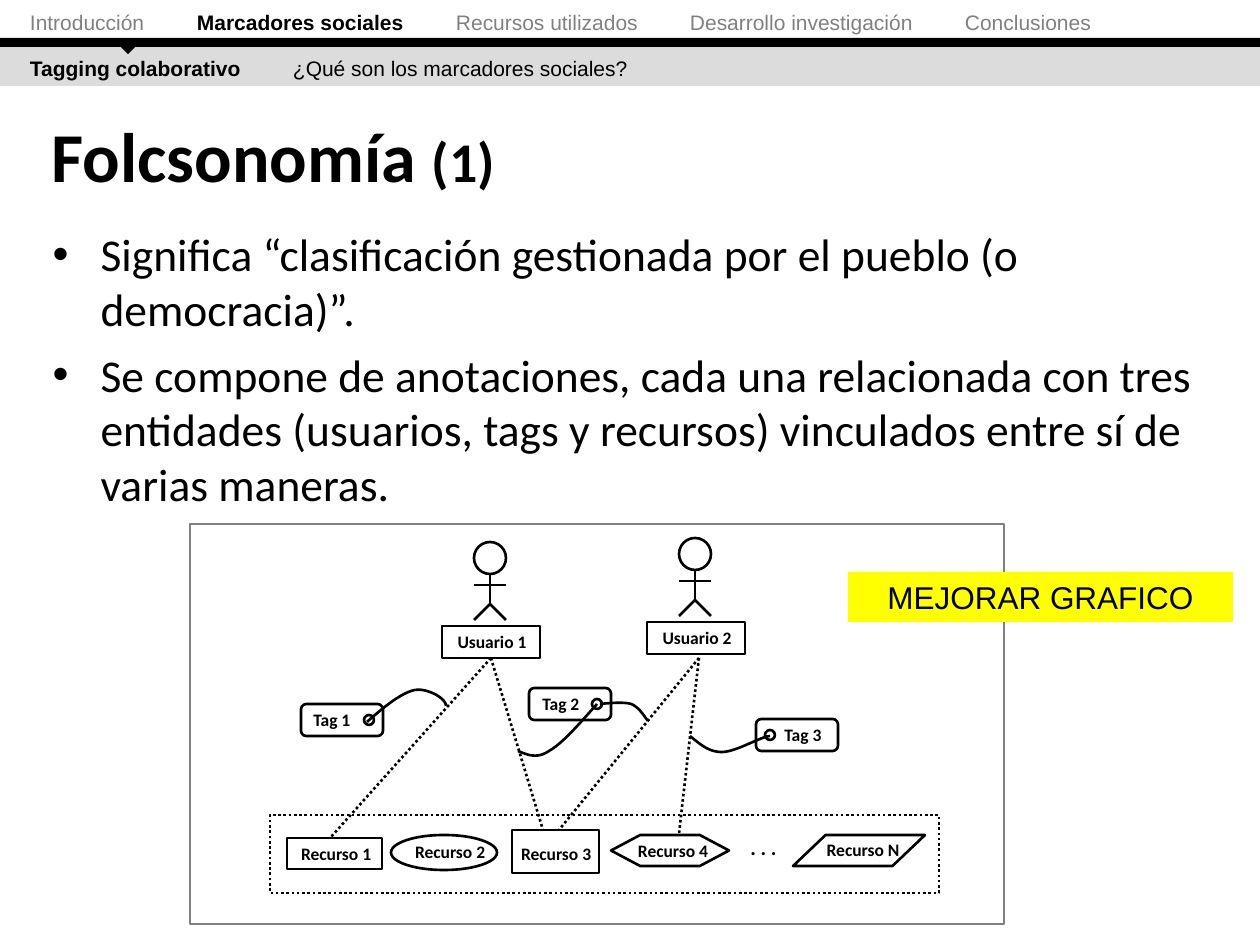
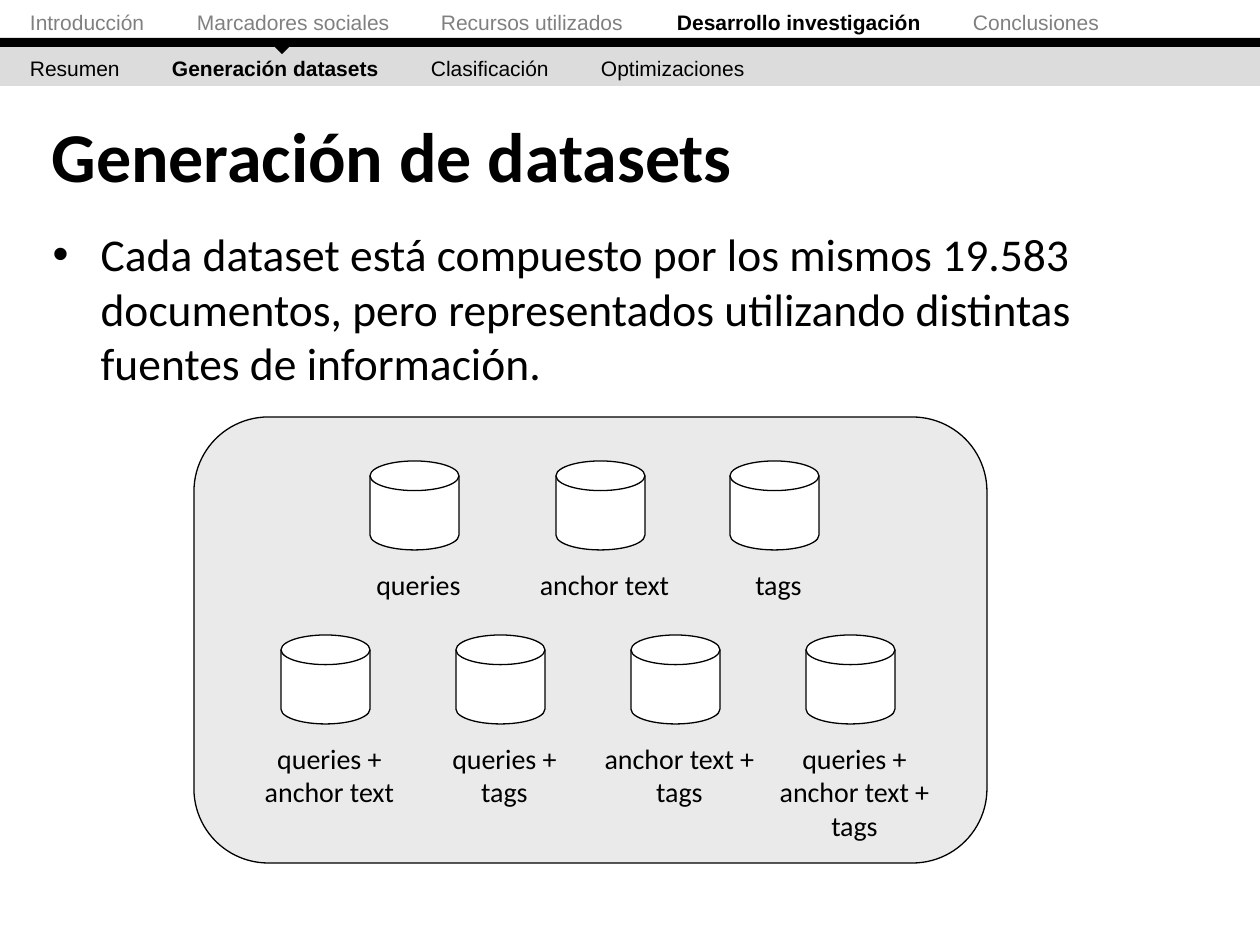
from dataclasses import dataclass
from typing import NamedTuple

from lxml import etree
from pptx import Presentation
from pptx import util as u
from pptx.dml.color import RGBColor
from pptx.enum import dml, shapes, text
from pptx.oxml import ns

# Shared look
SCALE = 914400 / 126  # EMU in one px
BLACK = RGBColor(0x00, 0x00, 0x00)
WHITE = RGBColor(0xFF, 0xFF, 0xFF)
GREY = RGBColor(0x80, 0x80, 0x80)
BAND = RGBColor(0xDC, 0xDC, 0xDC)
PANEL = RGBColor(0xEA, 0xEA, 0xEA)
YELLOW = RGBColor(0xFF, 0xFF, 0x00)

NAV = dict(name="Arial", size=u.Pt(12))
TITLE = dict(name="Calibri", size=u.Pt(40), bold=True)
TITLE_NUMBER = dict(TITLE, size=u.Pt(32))
BODY = dict(name="Calibri", size=u.Pt(26))
LABEL = dict(name="Calibri", size=u.Pt(10), bold=True)
DOTS = dict(LABEL, size=u.Pt(12))
DATASET = dict(name="Calibri", size=u.Pt(16))
NOTE = dict(name="Arial", size=u.Pt(18))

PRESET = shapes.MSO_SHAPE
LEFT, CENTER = text.PP_ALIGN.LEFT, text.PP_ALIGN.CENTER
DOTTED = dml.MSO_LINE.ROUND_DOT
NAV_LEFT = 30
SECTIONS = ["Introducción", "Marcadores sociales", "Recursos utilizados",
            "Desarrollo investigación", "Conclusiones"]


class Box(NamedTuple):
    left: int
    top: int
    width: int
    height: int


class Point(NamedTuple):
    x: float
    y: float


@dataclass
class Menu:
    items: list[str]
    active: str
    starts: list[int]  # left edge of each item after the first


@dataclass
class Resource:
    name: str
    preset: PRESET
    box: Box
    label: Point
    adjust: float | None = None


@dataclass
class Tag:
    name: str
    corner: Point
    hole_dx: int
    label_dx: int


def px(length: float) -> u.Emu:
    return u.Emu(round(length * SCALE))


def emu(lengths) -> list[u.Emu]:
    return [px(length) for length in lengths]


# Basic drawing
def format_font(font, style: dict, color: RGBColor = BLACK) -> None:
    for name, value in style.items():
        setattr(font, name, value)
    font.color.rgb = color


def add_span(para, words: str, style: dict, color: RGBColor = BLACK) -> None:
    span = para.add_run()
    span.text = words
    format_font(span.font, style, color)


def stroke(line, width: float, color: RGBColor = BLACK, dash=None) -> None:
    line.color.rgb = color
    line.width = u.Pt(width)
    if dash:
        line.dash_style = dash


def add_figure(page, preset, box: Box, fill=WHITE, width=1.5, color=BLACK, dash=None, adjust=None):
    figure = page.shapes.add_shape(preset, *emu(box))
    figure.shadow.inherit = False
    if fill is None:
        figure.fill.background()
    else:
        figure.fill.solid()
        figure.fill.fore_color.rgb = fill
    if width:
        stroke(figure.line, width, color, dash)
    else:
        figure.line.fill.background()
    if adjust is not None:
        figure.adjustments[0] = adjust
    return figure


def add_label(page, words: str, box: Box, style: dict, align=CENTER) -> None:
    frame = page.shapes.add_textbox(*emu(box)).text_frame
    frame.word_wrap = True
    frame.text = words
    para = frame.paragraphs[0]
    para.alignment = align
    for span in para.runs:
        format_font(span.font, style)


def add_line(page, start: Point, end: Point, dash=None):
    line = page.shapes.add_connector(shapes.MSO_CONNECTOR.STRAIGHT, *emu(start + end))
    stroke(line.line, 1.5, dash=dash)
    etree.SubElement(line._element.spPr, ns.qn("a:effectLst"))
    return line


def bezier(a: Point, b: Point, c: Point, d: Point, steps: int = 12) -> list[Point]:
    points = []
    for step in range(1, steps + 1):
        t = step / steps
        weights = (1 - t) ** 3, 3 * t * (1 - t) ** 2, 3 * t * t * (1 - t), t ** 3
        points.append(Point(*(sum(w * v for w, v in zip(weights, axis))
                              for axis in zip(a, b, c, d))))
    return points


def add_curve(page, nodes: list[Point]) -> None:
    """Draw cubic pieces: a start, then two handles and an end for each piece."""
    builder = page.shapes.build_freeform(*emu(nodes[0]))
    for first in range(0, len(nodes) - 1, 3):
        piece = bezier(*nodes[first:first + 4])
        builder.add_line_segments([emu(point) for point in piece], close=False)
    curve = builder.convert_to_shape()
    curve.shadow.inherit = False
    curve.fill.background()
    stroke(curve.line, 1.5)


# Page frame: menus, title and list
def add_menu(page, menu: Menu, top: int, idle: RGBColor) -> None:
    frame = page.shapes.add_textbox(*emu(Box(NAV_LEFT, top, 1200, 38))).text_frame
    frame.word_wrap = True
    frame.margin_left = 0
    para = frame.paragraphs[0]
    stops = etree.SubElement(para._p.get_or_add_pPr(), ns.qn("a:tabLst"))
    for start in menu.starts:
        etree.SubElement(stops, ns.qn("a:tab"), pos=str(px(start - NAV_LEFT)), algn="l")
    for index, item in enumerate(menu.items):
        active = item == menu.active
        add_span(para, "\t" * (index > 0) + item, dict(NAV, bold=active),
                 BLACK if active else idle)


def place(holder, box: Box, anchor):
    for name, value in zip(("left", "top", "width", "height"), emu(box)):
        setattr(holder, name, value)
    frame = holder.text_frame
    frame.auto_size = text.MSO_AUTO_SIZE.NONE
    frame.vertical_anchor = anchor
    return frame


def add_page(deck, sections: Menu, topics: Menu, pointer: int,
             title: list[tuple[str, dict]], bullets: list[str]):
    page = deck.slides.add_slide(deck.slide_layouts[1])
    add_figure(page, PRESET.RECTANGLE, Box(0, 47, 1260, 39), BAND, width=0)
    add_figure(page, PRESET.RECTANGLE, Box(0, 38, 1260, 9), BLACK, width=0)
    add_menu(page, sections, 3, GREY)
    add_menu(page, topics, 49, BLACK)
    marker = add_figure(page, PRESET.RIGHT_TRIANGLE, Box(pointer, 30, 20, 20), BLACK, width=0)
    marker.rotation = 315

    frame = place(page.shapes.title, Box(39, 108, 1211, 93), text.MSO_ANCHOR.MIDDLE)
    para = frame.paragraphs[0]
    para.alignment = LEFT
    for words, style in title:
        add_span(para, words, style)

    frame = place(page.placeholders[1], Box(40, 220, 1181, 714), text.MSO_ANCHOR.TOP)
    for index, words in enumerate(bullets):
        para = frame.add_paragraph() if index else frame.paragraphs[0]
        para.space_before = u.Pt(6.5 if index else 0)
        props = para._p.get_or_add_pPr()
        props.set("marL", str(px(48)))
        props.set("indent", str(px(-48)))
        etree.SubElement(props, ns.qn("a:buChar"), char="•")
        add_span(para, words, BODY)
    return page


# Folksonomy diagram
RESOURCES = [
    Resource("Recurso N", PRESET.PARALLELOGRAM, Box(793, 835, 132, 31), Point(810, 833), 1.05),
    Resource("Recurso 1", PRESET.RECTANGLE, Box(287, 838, 95, 31), Point(283, 837)),
    Resource("Recurso 3", PRESET.RECTANGLE, Box(512, 830, 87, 43), Point(503, 837)),
    Resource("Recurso 4", PRESET.HEXAGON, Box(611, 835, 118, 31), Point(620, 834), 0.94),
    Resource("Recurso 2", PRESET.OVAL, Box(391, 835, 106, 35), Point(397, 835)),
]
TAGS = [Tag("Tag 1", Point(301, 704), 63, 0), Tag("Tag 2", Point(529, 688), 63, 1),
        Tag("Tag 3", Point(756, 719), 9, 16)]
TAG_CURVES = [
    [(367, 722), (384, 707), (401, 693), (415, 690), (427, 688), (446, 698), (446, 706)],
    [(597, 704), (580, 723), (563, 743), (549, 751), (537, 759), (528, 755), (518, 751)],
    [(600, 704), (611, 703), (624, 702), (631, 704), (639, 707), (644, 716), (648, 721)],
    [(690, 736), (701, 745), (709, 752), (722, 752), (736, 752), (762, 736), (770, 736)],
]


def add_user(page, name: str, center: int, top: int):
    hip = Point(center, top + 62)
    add_figure(page, PRESET.OVAL, Box(center - 16, top, 32, 32))
    add_line(page, Point(center, top + 32), hip)
    add_line(page, Point(center - 16, top + 43), Point(center + 16, top + 43))
    for side in (-16, 16):
        add_line(page, hip, Point(center + side, top + 78))
    plate = add_figure(page, PRESET.RECTANGLE, Box(center - 48, top + 84, 98, 32), None)
    add_label(page, name, Box(center - 53, top + 83, 110, 34), LABEL)
    return plate


def draw_folksonomy(page) -> None:
    add_figure(page, PRESET.RECTANGLE, Box(190, 524, 814, 400), None, 0.75, GREY)
    add_figure(page, PRESET.RECTANGLE, Box(270, 815, 669, 78), dash=DOTTED)
    for resource in RESOURCES:
        add_figure(page, resource.preset, resource.box, adjust=resource.adjust)
        add_label(page, resource.name, Box(*resource.label, 106, 39), LABEL)
    add_label(page, ". . .", Box(738, 828, 63, 43), DOTS, LEFT)

    plate = add_user(page, "Usuario 1", 490, 542)
    add_user(page, "Usuario 2", 695, 538)
    for end in (Point(331, 837), Point(543, 830)):
        add_line(page, Point(491, 658), end, DOTTED).begin_connect(plate, 2)
    for end in (Point(559, 830), Point(679, 834)):
        add_line(page, Point(699, 658), end, DOTTED)

    for tag in TAGS:
        x, y = tag.corner
        add_figure(page, PRESET.ROUNDED_RECTANGLE, Box(x, y, 82, 32))
        add_figure(page, PRESET.OVAL, Box(x + tag.hole_dx, y + 11, 10, 10))
        add_label(page, tag.name, Box(x + tag.label_dx, y - 1, 71, 34), LABEL, LEFT)
    for nodes in TAG_CURVES:
        add_curve(page, [Point(*node) for node in nodes])

    note = add_figure(page, PRESET.RECTANGLE, Box(848, 572, 385, 50), YELLOW, width=0)
    para = note.text_frame.paragraphs[0]
    para.alignment = CENTER
    add_span(para, "MEJORAR GRAFICO", NOTE)


# Dataset diagram
def draw_datasets(page) -> None:
    add_figure(page, PRESET.ROUNDED_RECTANGLE, Box(194, 417, 793, 446), PANEL, 0.75)
    rows = [
        (461, 47, [370, 556, 730], ["queries", "anchor text", "tags"]),
        (635, 114, [281 + 175 * column for column in range(4)],
         ["queries +\vanchor text", "queries +\vtags", "anchor text +\vtags",
          "queries +\vanchor text +\vtags"]),
    ]
    for top, height, lefts, names in rows:
        for left, name in zip(lefts, names):
            add_figure(page, PRESET.FLOWCHART_MAGNETIC_DISK, Box(left, top, 89, 89), width=0.75)
            add_label(page, name, Box(left - 70, top + 100, 237, height), DATASET)


def main() -> None:
    deck = Presentation()
    deck.slide_width, deck.slide_height = px(1260), px(945)

    page = add_page(
        deck, Menu(SECTIONS, "Marcadores sociales", [197, 456, 690, 965]),
        Menu(["Tagging colaborativo", "¿Qué son los marcadores sociales?"],
             "Tagging colaborativo", [293]),
        118, [("Folcsonomía ", TITLE), ("(1)", TITLE_NUMBER)],
        ["Significa “clasificación gestionada por el pueblo (o democracia)”.",
         "Se compone de anotaciones, cada una relacionada con tres entidades "
         "(usuarios, tags y recursos) vinculados entre sí de varias maneras."])
    draw_folksonomy(page)

    page = add_page(
        deck, Menu(SECTIONS, "Desarrollo investigación", [197, 441, 677, 973]),
        Menu(["Resumen", "Generación datasets", "Clasificación", "Optimizaciones"],
             "Generación datasets", [172, 431, 601]),
        272, [("Generación de datasets", TITLE)],
        ["Cada dataset está compuesto por los mismos 19.583 documentos, pero "
         "representados utilizando distintas fuentes de información."])
    draw_datasets(page)
    deck.save("out.pptx")


if __name__ == "__main__":
    main()
